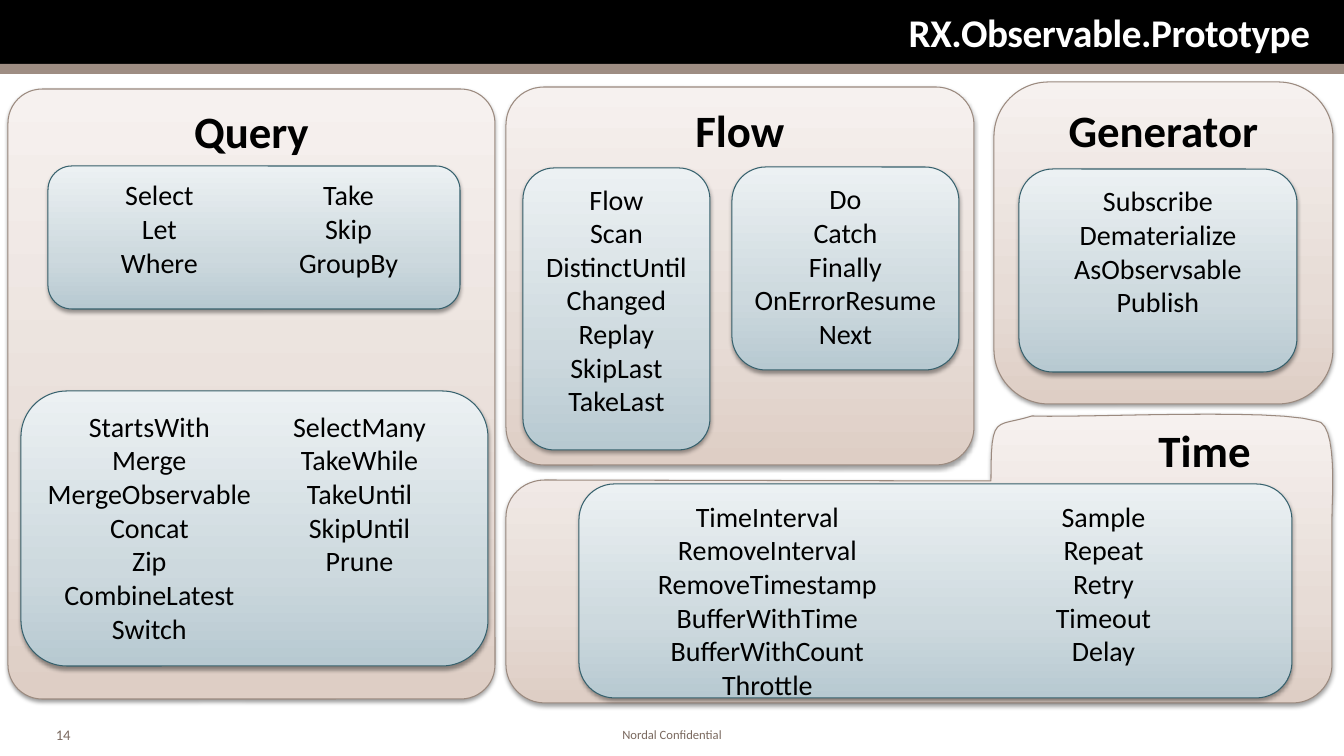
from pptx import Presentation
from pptx.dml.color import RGBColor
from pptx.enum.shapes import MSO_SHAPE
from pptx.enum.text import MSO_ANCHOR, PP_ALIGN
from pptx.oxml import parse_xml
from pptx.oxml.ns import nsdecls, qn
from pptx.util import Pt

BLACK = RGBColor(0x00, 0x00, 0x00)
WHITE = RGBColor(0xFF, 0xFF, 0xFF)
TAUPE = RGBColor(0x9E, 0x8D, 0x83)
FOOTER = RGBColor(0x7A, 0x69, 0x5F)
SAND_LINE = RGBColor(0x9B, 0x8A, 0x7F)
BLUE_LINE = RGBColor(0x37, 0x61, 0x6D)
SAND = [(0, RGBColor(0xDE, 0xCE, 0xC5)), (35, RGBColor(0xE7, 0xDC, 0xD6)), (100, RGBColor(0xF6, 0xF1, 0xEF))]
BLUE = [(0, RGBColor(0xB7, 0xC9, 0xD1)), (35, RGBColor(0xCD, 0xD9, 0xDE)), (100, RGBColor(0xEC, 0xF1, 0xF3))]

FONT = "Calibri"
PX = 12192000 / 1344

TITLE = "RX.Observable.Prototype"
BARS = [((0, 0, 1344, 65), BLACK), ((0, 64, 1344, 10), TAUPE)]
NOTES = [
    ("14", (46, 721, 50, 27), 10.5, PP_ALIGN.LEFT),
    ("Nordal Confidential", (410, 722, 524, 24), 9, PP_ALIGN.CENTER),
]
GROUPS = [
    ("Query", (8, 89, 487, 610), 0.07),
    ("Flow", (506, 87, 468, 378), 0.1),
    ("Generator", (994, 82, 339, 322), 0.17),
]
TIME_START = (506, 517)
TIME_OUTLINE = [
    (506, 497, 523, 480, 545, 480),
    (991, 481),
    (991, 412, 995, 428, 1032, 416),
    (1087, 418, 1274, 408, 1316, 421),
    (1338, 421, 1332, 497, 1332, 517),
    (1332, 665),
    (1332, 685, 1314, 703, 1293, 703),
    (545, 703),
    (523, 703, 506, 685, 506, 665),
]
OPERATORS = [
    ((48, 166, 412, 143), 2, ["Select", "Let", "Where", "Take", "Skip", "GroupBy"]),
    ((21, 391, 467, 275), 2, [
        "StartsWith", "Merge", "MergeObservable", "Concat", "Zip", "CombineLatest", "Switch",
        "SelectMany", "TakeWhile", "TakeUntil", "SkipUntil", "Prune"]),
    ((523, 168, 187, 282), 1, ["Flow", "Scan", "DistinctUntilChanged", "Replay", "SkipLast", "TakeLast"]),
    ((732, 167, 227, 203), 1, ["Do", "Catch", "Finally", "OnErrorResumeNext"]),
    ((579, 484, 713, 214), 2, [
        "TimeInterval", "RemoveInterval", "RemoveTimestamp", "BufferWithTime", "BufferWithCount", "Throttle",
        "Sample", "Repeat", "Retry", "Timeout", "Delay"]),
    ((1019, 169, 278, 203), 1, ["Subscribe", "Dematerialize", "AsObservsable", "Publish"]),
]


def emu(*lengths):
    return [round(v * PX) for v in lengths]


def write(sp, text, size, color, align, bold=False, anchor=MSO_ANCHOR.TOP):
    tf = sp.text_frame
    tf.text = text
    tf.word_wrap = True
    tf.vertical_anchor = anchor
    for p in tf.paragraphs:
        p.alignment = align
        for r in p.runs:
            r.font.name = FONT
            r.font.size = Pt(size)
            r.font.bold = bold
            r.font.color.rgb = color
    return tf


def style_panel(sp, stops, line):
    spPr = sp._element.spPr
    gs = "".join(f'<a:gs pos="{pos * 1000}"><a:srgbClr val="{color}"/></a:gs>' for pos, color in stops)
    spPr.insert(2, parse_xml(
        f'<a:gradFill {nsdecls("a")} rotWithShape="1"><a:gsLst>{gs}</a:gsLst>'
        '<a:lin ang="16200000" scaled="0"/></a:gradFill>'))
    sp.line.color.rgb = line
    sp.line.width = Pt(0.75)
    sp.shadow.inherit = False
    spPr.find(qn("a:effectLst")).append(parse_xml(
        f'<a:outerShdw {nsdecls("a")} blurRad="{Pt(3.1)}" dist="{Pt(1.6)}" dir="5400000" rotWithShape="0">'
        '<a:srgbClr val="000000"><a:alpha val="38000"/></a:srgbClr></a:outerShdw>'))


def add_panel(s, box, stops, line, radius=0.1667):
    sp = s.shapes.add_shape(MSO_SHAPE.ROUNDED_RECTANGLE, *emu(*box))
    sp.adjustments[0] = radius
    style_panel(sp, stops, line)
    return sp


def trace(start, segments, steps=12):
    points, (x, y) = [], start
    for seg in segments:
        if len(seg) == 2:
            points.append(seg)
        else:
            x1, y1, x2, y2, x3, y3 = seg
            for i in range(1, steps + 1):
                t = i / steps
                a, b, c, d = (1 - t) ** 3, 3 * t * (1 - t) ** 2, 3 * t * t * (1 - t), t ** 3
                points.append((a * x + b * x1 + c * x2 + d * x3, a * y + b * y1 + c * y2 + d * y3))
        x, y = seg[-2:]
    return points


def add_time_panel(s):
    fb = s.shapes.build_freeform(*emu(*TIME_START))
    fb.add_line_segments([emu(*pt) for pt in trace(TIME_START, TIME_OUTLINE)], close=True)
    sp = fb.convert_to_shape()
    style_panel(sp, SAND, SAND_LINE)
    tf = write(sp, "Time", 32, BLACK, PP_ALIGN.RIGHT, bold=True)
    tf.margin_right, tf.margin_top = emu(82, 8)


def main():
    prs = Presentation()
    prs.slide_width, prs.slide_height = emu(1344, 756)
    s = prs.slides.add_slide(prs.slide_layouts[5])

    for box, color in BARS:
        sp = s.shapes.add_shape(MSO_SHAPE.RECTANGLE, *emu(*box))
        sp.fill.solid()
        sp.fill.fore_color.rgb = color
        sp.line.fill.background()
        sp.shadow.inherit = False

    for text, box, size, align in NOTES:
        write(s.shapes.add_textbox(*emu(*box)), text, size, FOOTER, align, anchor=MSO_ANCHOR.MIDDLE)

    add_time_panel(s)

    title = s.shapes.title
    title.left, title.top, title.width, title.height = emu(41, 7, 1273, 50)
    tf = write(title, TITLE, 28, WHITE, PP_ALIGN.RIGHT, bold=True, anchor=MSO_ANCHOR.MIDDLE)
    tf.margin_left, tf.margin_top, tf.margin_right, tf.margin_bottom = emu(4, 4, 4, 4)
    tf.paragraphs[0].runs[0].font._element.set("spc", "-30")
    s.shapes._spTree.append(title._element)

    for name, box, radius in GROUPS:
        write(add_panel(s, box, SAND, SAND_LINE, radius), name, 32, BLACK, PP_ALIGN.CENTER, bold=True)

    for box, columns, names in OPERATORS:
        tf = write(add_panel(s, box, BLUE, BLUE_LINE), "\n".join(names), 20, BLACK, PP_ALIGN.CENTER)
        tf._txBody.bodyPr.set("numCol", str(columns))

    prs.save("out.pptx")


if __name__ == "__main__":
    main()
